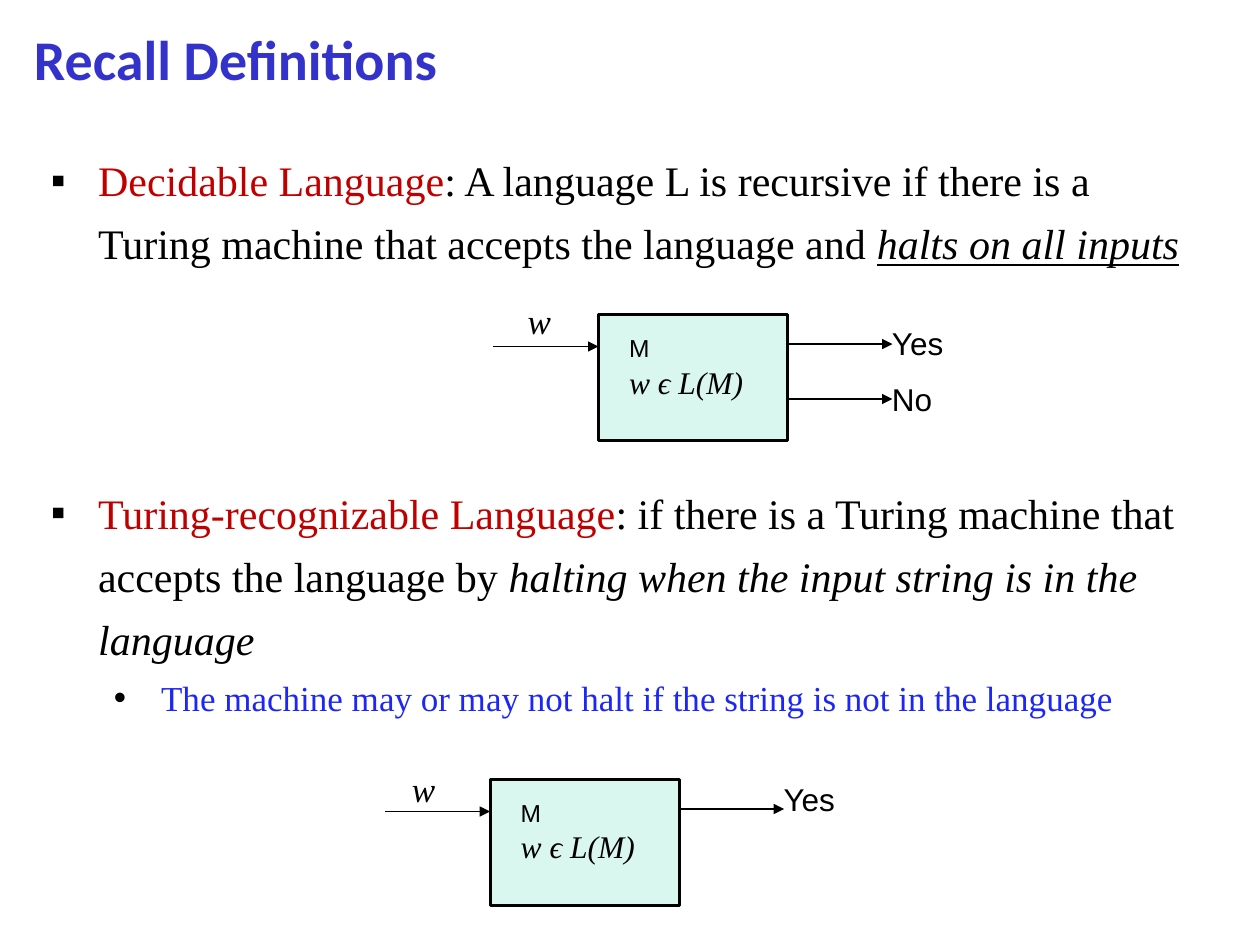
from dataclasses import dataclass

from lxml.etree import SubElement
from pptx import Presentation
from pptx.dml.color import RGBColor as Rgb
from pptx.enum.shapes import MSO_CONNECTOR as Conn, MSO_SHAPE as Shape
from pptx.enum.text import MSO_ANCHOR as Anchor, PP_ALIGN as Align
from pptx.oxml.ns import qn
from pptx.util import Pt


@dataclass(frozen=True)
class Theme:
    title: str = "3333CC"
    term: str = "C00000"
    note: str = "1D27F5"
    ink: str = "000000"
    fill: str = "00CC99"
    sans: str = "Arial"
    serif: str = "Times New Roman"
    head: str = "Calibri"
    big: int = 32
    body: int = 24
    sub: int = 20
    label: int = 18
    small: int = 14


@dataclass(frozen=True)
class Out:
    text: str
    line: float   # arrow, below the box top
    top: float    # label, below the box top
    wide: float


@dataclass(frozen=True)
class Machine:
    left: float
    top: float
    word: tuple   # offset of the input label from the box corner
    outs: tuple


@dataclass(frozen=True)
class Item:
    runs: tuple   # (text, format) pairs
    mark: str = "▪"
    indent: float = 36
    space: float = 1.25
    before: float = 3.6
    level: int = 0


T = Theme()
WIDE, HIGH, ARM = 108, 72, 60

MACHINES = (
    Machine(342, 180, (-47.5, -12.2),
            (Out("Yes", 16.6, 1.4, 44), Out("No", 48, 33.8, 37.4))),
    Machine(280.1, 445.7, (-51.8, -10.8), (Out("Yes", 16.6, -3.6, 44),)),
)

TERM = dict(color=T.term)
ITEMS = (
    Item((("Decidable Language", TERM),
          (": A language L is recursive if there is a Turing machine that "
           "accepts the language and ", {}),
          ("halts on all inputs", dict(italic=True, under=True)))),
    # The wide gap leaves room for the first machine
    Item((("Turing-recognizable Language", TERM),
          (": if there is a Turing machine that accepts the language by ", {}),
          ("halting when the input string is in the language",
           dict(italic=True))), before=117.9),
    Item((("The machine may or may not halt if the string is not in the "
           "language", dict(size=T.sub, color=T.note)),),
         mark="•", indent=72, space=1.15, level=1),
)


def write(para, text: str, *, size: float = T.body, font: str = T.serif,
          color: str = T.ink, bold: bool = False, italic: bool = False,
          under: bool = False) -> None:
    run = para.add_run()
    run.text = text
    face = run.font
    face.size, face.name = Pt(size), font
    face.bold, face.italic, face.underline = bold, italic, under
    face.color.rgb = Rgb.from_string(color)


def place(shape, left: float, top: float, wide: float, high: float) -> None:
    shape.left, shape.top = Pt(left), Pt(top)
    shape.width, shape.height = Pt(wide), Pt(high)


def label(shapes, left: float, top: float, wide: float, high: float,
          *lines: tuple) -> None:
    frame = shapes.add_textbox(Pt(left), Pt(top), Pt(wide), Pt(high)).text_frame
    frame.word_wrap = False
    for num, (text, form) in enumerate(lines):
        para = frame.add_paragraph() if num else frame.paragraphs[0]
        write(para, text, **form)


def arrow(shapes, left: float, top: float) -> None:
    line = shapes.add_connector(Conn.STRAIGHT, Pt(left), Pt(top),
                                Pt(left + ARM), Pt(top))
    line.line.color.rgb = Rgb.from_string(T.ink)
    line.line.width = Pt(1)
    SubElement(line.line._get_or_add_ln(), qn("a:tailEnd"), type="triangle")
    SubElement(line._element.spPr, qn("a:effectLst"))


def draw(slide, item: Machine) -> None:
    shapes = slide.shapes.add_group_shape().shapes
    left, top = item.left, item.top

    # Box with a pale fill
    box = shapes.add_shape(Shape.RECTANGLE, Pt(left), Pt(top), Pt(WIDE), Pt(HIGH))
    box.shadow.inherit = False
    box.fill.solid()
    box.fill.fore_color.rgb = Rgb.from_string(T.fill)
    tint = box._element.spPr.find(qn("a:solidFill"))[0]
    SubElement(tint, qn("a:alpha"), val="15000")
    box.line.color.rgb = Rgb.from_string(T.ink)
    box.line.width = Pt(1.75)

    # Arrows
    arrow(shapes, left - ARM, top + 18)
    for out in item.outs:
        arrow(shapes, left + WIDE, top + out.line)

    # Labels
    label(shapes, left + 10.4, top + 6.8, 83.5, 58.3,
          ("M", dict(size=T.small, font=T.sans)),
          ("w ϵ L(M)", dict(size=T.label, italic=True)))
    for out in item.outs:
        label(shapes, left + 160.6, top + out.top, out.wide, 28.8,
              (out.text, dict(size=T.label, font=T.sans)))
    across, down = item.word
    label(shapes, left + across, top + down, 28, 31.7,
          ("w", dict(size=T.sub, italic=True)))


def bullet(para, item: Item) -> None:
    para.level = item.level
    para.line_spacing, para.space_before = item.space, Pt(item.before)
    props = para._p.get_or_add_pPr()
    props.set("marL", str(Pt(item.indent)))
    props.set("indent", str(Pt(-27)))
    tint = SubElement(props, qn("a:buClr"))
    SubElement(tint, qn("a:srgbClr"), val=T.ink)
    SubElement(props, qn("a:buFont"), typeface=T.sans)
    SubElement(props, qn("a:buChar"), char=item.mark)
    for text, form in item.runs:
        write(para, text, **form)


def main() -> None:
    deck = Presentation()
    deck.slide_width, deck.slide_height = Pt(720), Pt(540)
    slide = deck.slides.add_slide(deck.slide_layouts[5])

    # Title
    title = slide.shapes.title
    place(title, 12.2, 12.2, 684, 41.8)
    title.text_frame.vertical_anchor = Anchor.MIDDLE
    para = title.text_frame.paragraphs[0]
    para.alignment = Align.LEFT
    write(para, "Recall Definitions", size=T.big, font=T.head,
          color=T.title, bold=True)

    # Definitions
    frame = slide.shapes.add_textbox(Pt(13), Pt(77.8), Pt(684), Pt(383.8)).text_frame
    frame.word_wrap = True
    for num, item in enumerate(ITEMS):
        bullet(frame.add_paragraph() if num else frame.paragraphs[0], item)

    # Machines
    for item in MACHINES:
        draw(slide, item)

    deck.save("out.pptx")


if __name__ == "__main__":
    main()
